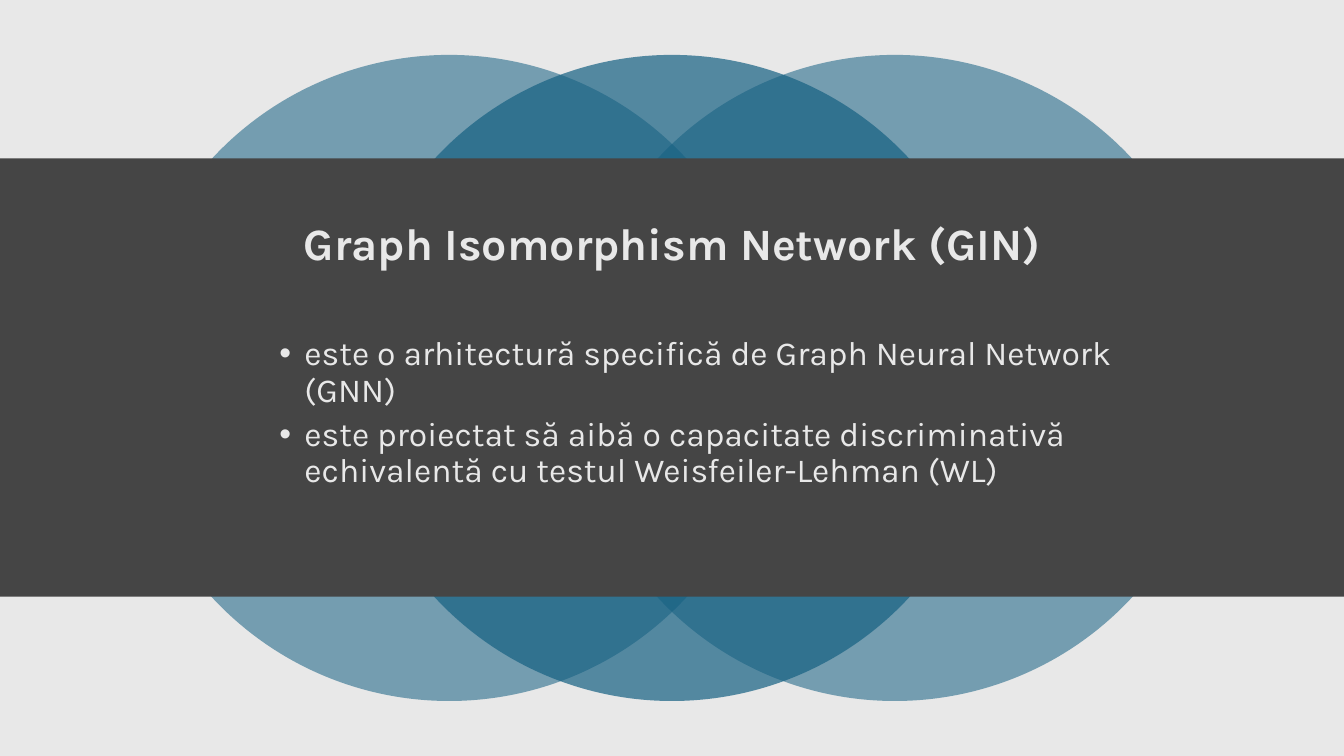
from dataclasses import dataclass

from lxml import etree
from pptx import Presentation
from pptx.dml.color import RGBColor
from pptx.enum.shapes import MSO_SHAPE
from pptx.enum.text import MSO_ANCHOR, MSO_AUTO_SIZE, PP_ALIGN
from pptx.oxml.ns import qn
from pptx.util import Inches, Pt

RECTANGLE, OVAL = MSO_SHAPE.RECTANGLE, MSO_SHAPE.OVAL
TOP, MIDDLE = MSO_ANCHOR.TOP, MSO_ANCHOR.MIDDLE
LEFT, CENTER = PP_ALIGN.LEFT, PP_ALIGN.CENTER
FIXED_SIZE = MSO_AUTO_SIZE.NONE
TITLE_AND_CONTENT = 1
PAGE_WIDTH, PAGE_HEIGHT = 13.33, 7.5


@dataclass(frozen=True)
class Theme:
    """Hold the colours, font and type sizes of the slide."""

    dark: str = "454545"
    light: str = "E8E8E8"
    accent: str = "156082"
    font: str = "Karla"
    title_size: int = 32
    body_size: int = 24


THEME = Theme()


def add_panel(page, kind, area, color, opacity=100):
    """Add a borderless filled shape, optionally see-through."""
    panel = page.shapes.add_shape(kind, *map(Inches, area))
    panel.shadow.inherit = False
    panel.line.fill.background()
    panel.fill.solid()
    panel.fill.fore_color.rgb = RGBColor.from_string(color)
    if opacity < 100:
        tint = panel.element.spPr.find(".//" + qn("a:srgbClr"))
        etree.SubElement(tint, qn("a:alpha"), val=str(opacity * 1000))


def add_circles(page):
    """Add three overlapping circles, the middle one in front."""
    diameter, step = 6.41, 2.21
    center_left = (PAGE_WIDTH - diameter) / 2
    top = (PAGE_HEIGHT - diameter) / 2
    for offset, opacity in ((-1, 55), (1, 55), (0, 70)):
        area = (center_left + offset * step, top, diameter, diameter)
        add_panel(page, OVAL, area, THEME.accent, opacity)


def fill_placeholder(box, area, lines, size, align, anchor, bold=False):
    """Place a placeholder in front and set its formatted paragraphs."""
    box.element.getparent().append(box.element)
    box.left, box.top, box.width, box.height = map(Inches, area)
    frame = box.text_frame
    frame.text = "\n".join(lines)
    frame.word_wrap = True
    frame.auto_size = FIXED_SIZE
    frame.vertical_anchor = anchor
    for para in frame.paragraphs:
        para.alignment = align
        para.line_spacing = 0.9
        para.space_before = Pt(0)
        para.space_after = Pt(6)
        for span in para.runs:
            span.font.name = THEME.font
            span.font.size = Pt(size)
            span.font.bold = bold
            span.font.color.rgb = RGBColor.from_string(THEME.light)


def add_bullets(box):
    """Give every paragraph a round bullet with a hanging indent."""
    for para in box.text_frame.paragraphs:
        settings = para._p.get_or_add_pPr()
        settings.set("marL", str(Inches(0.31)))
        settings.set("indent", str(Inches(-0.25)))
        etree.SubElement(settings, qn("a:buFont"), typeface="Arial")
        etree.SubElement(settings, qn("a:buChar"), char="•")


def main():
    """Build the slide and save it."""
    deck = Presentation()
    deck.slide_width, deck.slide_height = Inches(PAGE_WIDTH), Inches(PAGE_HEIGHT)
    page = deck.slides.add_slide(deck.slide_layouts[TITLE_AND_CONTENT])
    page.background.fill.solid()
    page.background.fill.fore_color.rgb = RGBColor.from_string(THEME.dark)

    add_panel(page, RECTANGLE, (0, 0, PAGE_WIDTH, PAGE_HEIGHT), THEME.light)
    add_circles(page)
    add_panel(page, RECTANGLE, (0, 1.57, PAGE_WIDTH, 4.35), THEME.dark)

    fill_placeholder(
        page.shapes.title, (0.92, 1.93, 11.5, 1.02),
        ["Graph Isomorphism Network (GIN)"],
        THEME.title_size, CENTER, MIDDLE, bold=True,
    )
    body = page.placeholders[1]
    fill_placeholder(
        body, (2.61, 3.29, 9.24, 1.89),
        [
            "este o arhitectură specifică de Graph Neural Network (GNN)",
            "este proiectat să aibă o capacitate discriminativă "
            "echivalentă cu testul Weisfeiler-Lehman (WL)",
        ],
        THEME.body_size, LEFT, TOP,
    )
    add_bullets(body)
    deck.save("out.pptx")


if __name__ == "__main__":
    main()
